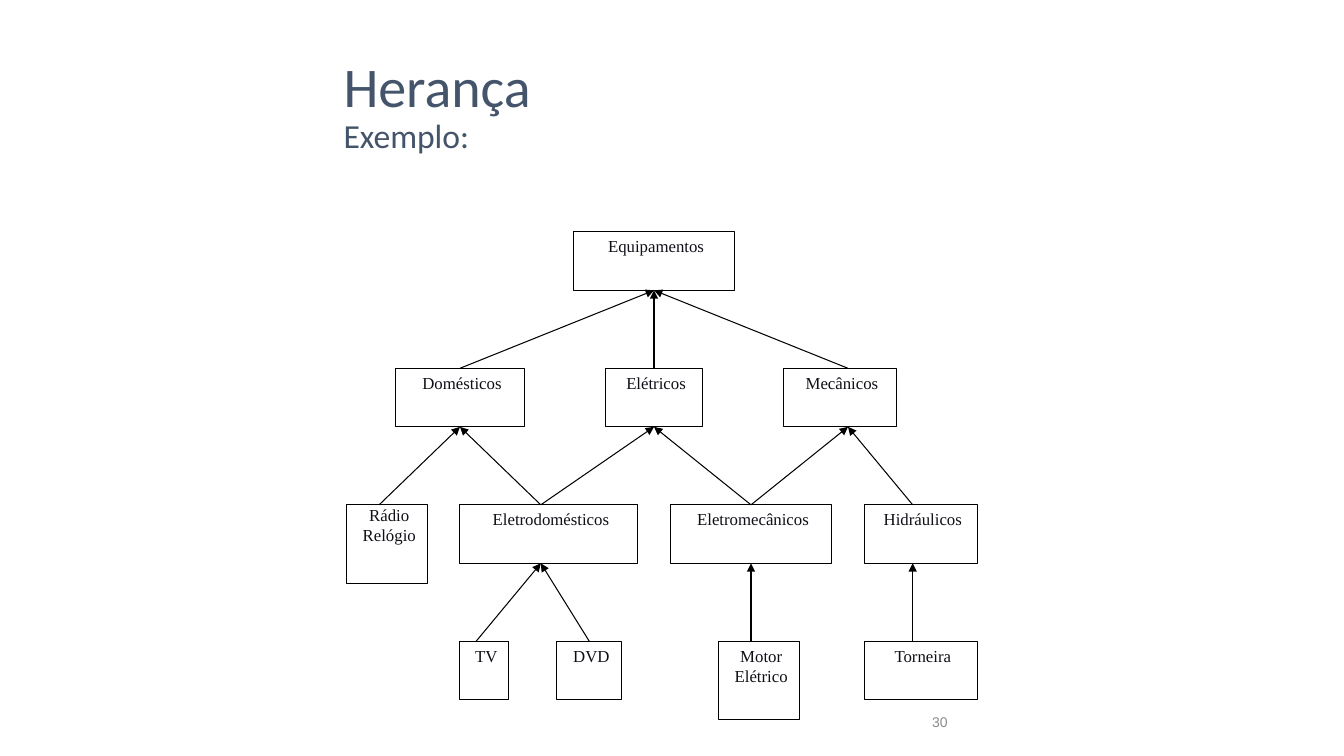
from lxml.etree import SubElement
from pptx import Presentation
from pptx.dml.color import RGBColor
from pptx.enum.shapes import MSO_CONNECTOR, MSO_SHAPE
from pptx.enum.text import MSO_ANCHOR, PP_ALIGN
from pptx.oxml.ns import qn
from pptx.util import Pt

BLACK = RGBColor(0x00, 0x00, 0x00)
WHITE = RGBColor(0xFF, 0xFF, 0xFF)
INK = RGBColor(0x0F, 0x0F, 0x17)
SLATE = RGBColor(0x44, 0x54, 0x6A)
GREY = RGBColor(0x8C, 0x8C, 0x8C)

# Diagram grid
LEFT, TOP = 247.7, 165.6
COLUMN, ROW = 11.55, 97.5
BOX_HEIGHT, TALL_HEIGHT = 41.8, 56

# Class: row, column, width in columns, column where its arrows meet
CLASSES = {
    "Equipamentos": (0, 14, 10, 19),
    "Domésticos": (1, 3, 8, 7),
    "Elétricos": (1, 16, 6, 19),
    "Mecânicos": (1, 27, 7, 31),
    "Rádio Relógio": (2, 0, 5, 2),
    "Eletrodomésticos": (2, 7, 11, 12),
    "Eletromecânicos": (2, 20, 10, 25),
    "Hidráulicos": (2, 32, 7, 35),
    "TV": (3, 7, 3, 8),
    "DVD": (3, 13, 4, 15),
    "Motor Elétrico": (3, 23, 5, 25),
    "Torneira": (3, 32, 7, 35),
}
TWO_LINED = ("Rádio Relógio", "Motor Elétrico")

# Subclass and the class it inherits from
INHERITANCE = [
    ("Domésticos", "Equipamentos"),
    ("Elétricos", "Equipamentos"),
    ("Mecânicos", "Equipamentos"),
    ("Rádio Relógio", "Domésticos"),
    ("Eletrodomésticos", "Domésticos"),
    ("Eletrodomésticos", "Elétricos"),
    ("Eletromecânicos", "Elétricos"),
    ("Eletromecânicos", "Mecânicos"),
    ("Hidráulicos", "Mecânicos"),
    ("TV", "Eletrodomésticos"),
    ("DVD", "Eletrodomésticos"),
    ("Motor Elétrico", "Eletromecânicos"),
    ("Torneira", "Hidráulicos"),
]


def style(font, name, size, color):
    font.name = name
    font.size = Pt(size)
    font.color.rgb = color


def add_label(left, top, width, height):
    frame = slide.shapes.add_textbox(Pt(left), Pt(top), Pt(width), Pt(height)).text_frame
    frame.word_wrap = True
    frame.vertical_anchor = MSO_ANCHOR.MIDDLE
    return frame.paragraphs[0]


presentation = Presentation()
presentation.slide_width = Pt(960)
presentation.slide_height = Pt(540)
slide = presentation.slides.add_slide(presentation.slide_layouts[6])

# Slide number
page_number = add_label(516.2, 501, 167.8, 28.8)
page_number.text = "30"
page_number.alignment = PP_ALIGN.RIGHT
style(page_number.runs[0].font, "Arial", 10, GREY)

# Class boxes
boxes = {}
for name, (row, column, width, joint) in CLASSES.items():
    height = TALL_HEIGHT if name in TWO_LINED else BOX_HEIGHT
    box = slide.shapes.add_shape(
        MSO_SHAPE.RECTANGLE, Pt(LEFT + column * COLUMN), Pt(TOP + row * ROW),
        Pt(width * COLUMN), Pt(height))
    box.shadow.inherit = False
    box.fill.solid()
    box.fill.fore_color.rgb = WHITE
    box.line.color.rgb = BLACK
    box.line.width = Pt(0.75)
    frame = box.text_frame
    frame.word_wrap = True
    frame.vertical_anchor = MSO_ANCHOR.TOP
    frame.margin_left = Pt(3)
    frame.margin_top = Pt(0 if name == "Rádio Relógio" else 3)
    frame.margin_right = frame.margin_bottom = Pt(0)
    frame.text = name
    frame.paragraphs[0].alignment = PP_ALIGN.CENTER
    style(frame.paragraphs[0].runs[0].font, "Times New Roman", 12, INK)
    boxes[name] = box

# Inheritance arrows, joined where they meet the middle of a side
for subclass, parent in INHERITANCE:
    sub_row, sub_column, sub_width, sub_joint = CLASSES[subclass]
    row, column, width, joint = CLASSES[parent]
    arrow = slide.shapes.add_connector(
        MSO_CONNECTOR.STRAIGHT,
        Pt(LEFT + sub_joint * COLUMN), Pt(TOP + sub_row * ROW),
        Pt(LEFT + joint * COLUMN), Pt(TOP + row * ROW + BOX_HEIGHT))
    if sub_joint == sub_column + sub_width / 2:
        arrow.begin_connect(boxes[subclass], 0)
    if joint == column + width / 2:
        arrow.end_connect(boxes[parent], 2)
    arrow.line.color.rgb = BLACK
    arrow.line.width = Pt(0.75)
    SubElement(arrow.line._get_or_add_ln(), qn("a:tailEnd"), type="triangle")
    SubElement(arrow._element.spPr, qn("a:effectLst"))

# Title
title = add_label(238.3, 31.7, 576, 90.7)
title.line_spacing = 0.9
heading = title.add_run()
heading.text = "Herança"
style(heading.font, "Calibri", 40, SLATE)
title.add_line_break()
subheading = title.add_run()
subheading.text = "Exemplo:"
style(subheading.font, "Calibri", 24, SLATE)

presentation.save("out.pptx")
